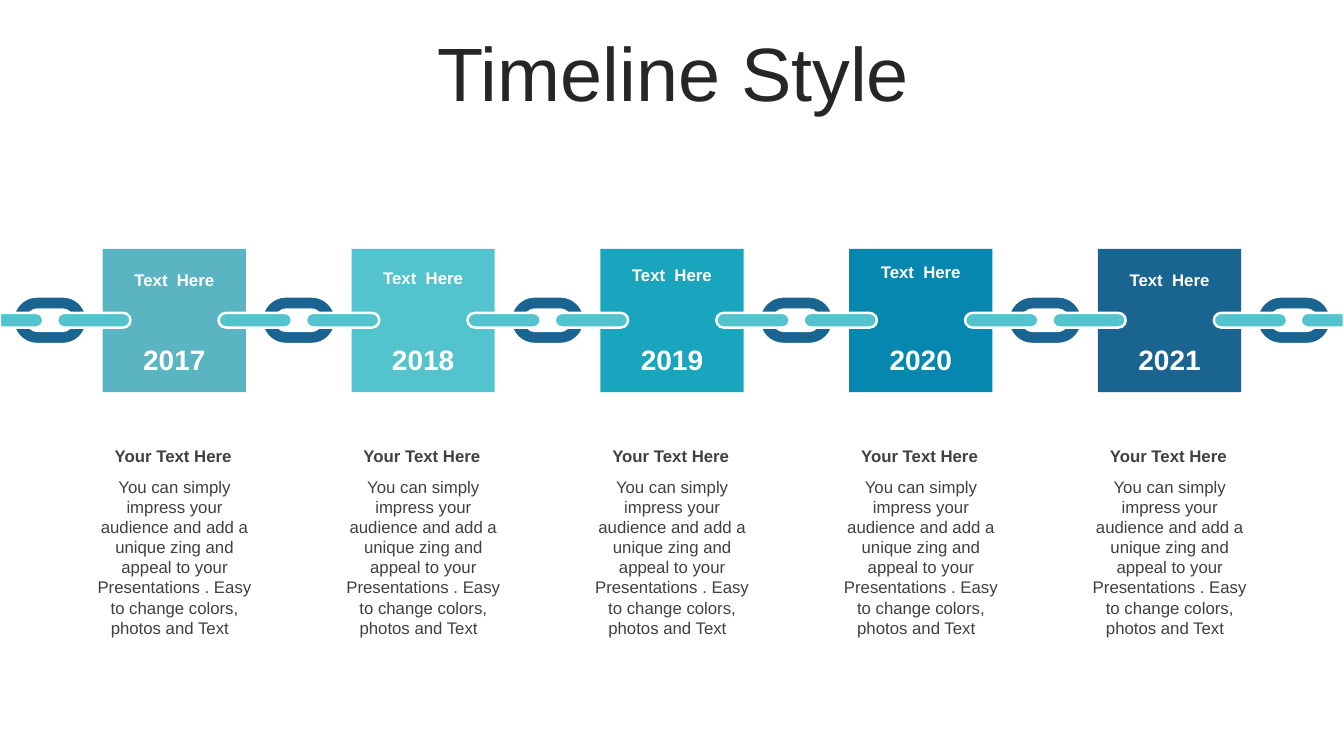
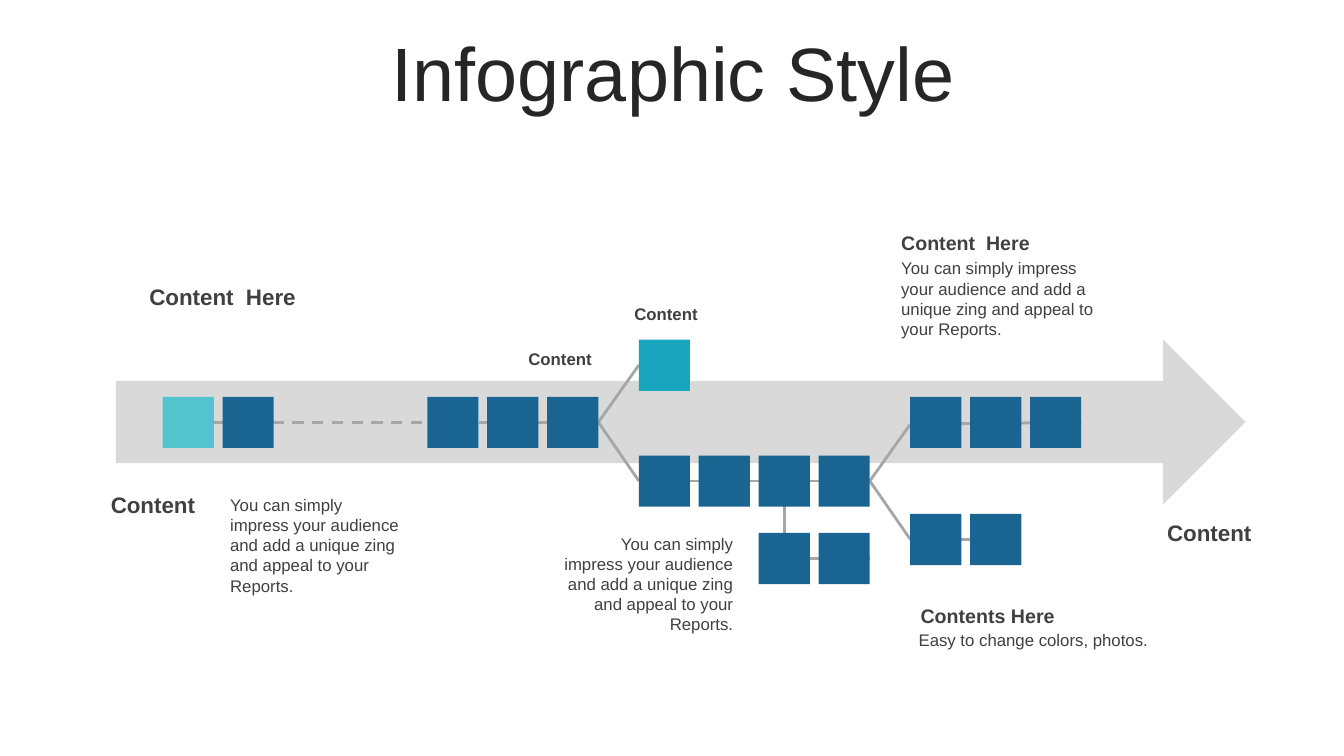
import pptx
import pptx.dml.color
import pptx.enum.dml
import pptx.enum.shapes
import pptx.enum.text
import pptx.oxml.ns
import pptx.util
from lxml import etree

Cm = pptx.util.Cm
Pt = pptx.util.Pt
RGB = pptx.dml.color.RGBColor
KIND = pptx.enum.shapes.MSO_SHAPE
ALIGN = pptx.enum.text.PP_ALIGN
DASH = pptx.enum.dml.MSO_LINE.DASH
tag = pptx.oxml.ns.qn

# Colours and font
FONT = "Arial"
DARK = RGB(0x26, 0x26, 0x26)
INK = RGB(0x40, 0x40, 0x40)
WHITE = RGB(0xFF, 0xFF, 0xFF)
PALE = RGB(0xD9, 0xD9, 0xD9)
GREY = RGB(0xA6, 0xA6, 0xA6)
MIST = RGB(0x5A, 0xB4, 0xC1)
AQUA = RGB(0x53, 0xC3, 0xCD)
TEAL = RGB(0x19, 0xA5, 0xBE)
AZURE = RGB(0x05, 0x87, 0xAF)
BLUE = RGB(0x19, 0x64, 0x91)


def write(shape, text, size=12, bold=False, color=INK, align=ALIGN.CENTER, space=None):
    frame = shape.text_frame
    frame.word_wrap = True
    frame.auto_size = pptx.enum.text.MSO_AUTO_SIZE.NONE
    para = frame.paragraphs[0]
    para.alignment = align
    para.line_spacing = space
    run = para.add_run()
    run.text = text
    run.font.name = FONT
    run.font.size = Pt(size)
    run.font.bold = bold
    run.font.color.rgb = color


def paint(shape, fill, edge=None):
    shape.shadow.inherit = False
    shape.fill.solid()
    shape.fill.fore_color.rgb = fill
    if edge is None:
        shape.line.fill.background()
    else:
        shape.line.color.rgb = edge
        shape.line.width = Pt(1.75)


# Deck, with the title placed once on the layout
WIDE = 33.87
deck = pptx.Presentation()
deck.slide_width, deck.slide_height = Cm(WIDE), Cm(19.05)
plan = deck.slide_layouts[5]
head = plan.placeholders[0]
head.left, head.top, head.width, head.height = Cm(0.89), Cm(0.94), Cm(32.16), Cm(2.01)

slides = []
for name in ("Timeline Style", "Infographic Style"):
    slide = deck.slides.add_slide(plan)
    write(slide.shapes.title, name, size=54, color=DARK, space=0.9)
    slides.append(slide)
time, info = (slide.shapes for slide in slides)

# Timeline: cards
STEP = 6.27
cards = [
    ("2017", MIST, 6.68),
    ("2018", AQUA, 6.62),
    ("2019", TEAL, 6.55),
    ("2020", AZURE, 6.48),
    ("2021", BLUE, 6.68),
]
story = ("You can simply impress your audience and add a unique zing and appeal "
         "to your Presentations . Easy to change colors, photos and Text  ")
for i, (year, color, top) in enumerate(cards):
    shift = i * STEP
    card = time.add_shape(KIND.RECTANGLE, Cm(2.59 + shift), Cm(6.27), Cm(3.61), Cm(3.61))
    paint(card, color)
    for text, x, y, w, h, style in (
        (year, 2.92, 8.5, 2.95, 1.12, dict(size=20, bold=True, color=WHITE)),
        ("Text  Here", 2.92, top, 2.95, 0.76, dict(bold=True, color=WHITE)),
        ("Your Text Here", 2.13, 11.1, 4.47, 0.76, dict(bold=True)),
        (story, 2.15, 11.88, 4.5, 4.37, {}),
    ):
        box = time.add_textbox(Cm(x + shift), Cm(y), Cm(w), Cm(h))
        write(box, text, **style)

# Timeline: outlines of the rings, and of the half bars at the slide edges
MID = 8.07
BAR = 0.37
rings = [1.26 + i * STEP for i in range(6)]
forms = []
for ring in rings:
    loops = []
    for half, r in ((0.33, 0.6), (0.31, 0.27)):
        a, b = ring - half, ring + half
        loops.append([(a, MID - r), (b, MID - r), (b + r, MID), (b, MID + r),
                      (a, MID + r), (a - r, MID), (a, MID - r)])
    forms.append((BLUE, [loops[0], loops[1][::-1]]))
r = BAR / 2
stub = [(0, MID - r), (1.09 - r, MID - r), (1.09, MID), (1.09 - r, MID + r), (0, MID + r)]
forms.append((AQUA, [stub]))
forms.append((AQUA, [[(WIDE - x, y) for x, y in stub]]))

# Timeline: draw the outlines, with each slanted side bent into a quarter circle
BEND = 0.55
for color, loops in forms:
    pen = None
    for loop in loops:
        spots = [(Cm(x), Cm(y)) for x, y in loop]
        if pen is None:
            pen = time.build_freeform(*spots[0])
        else:
            pen.move_to(*spots[0])
        pen.add_line_segments(spots[1:], close=True)
    form = pen.convert_to_shape()
    paint(form, color, WHITE)
    last = None
    for dot in list(form._element.iter(tag("a:pt"))):
        spot = int(dot.get("x")), int(dot.get("y"))
        side = dot.getparent()
        if side.tag == tag("a:lnTo") and spot[0] != last[0] and spot[1] != last[1]:
            near, far = sorted((last, spot), key=lambda p: abs(p[1] - form.height / 2))
            curve = etree.Element(tag("a:cubicBezTo"))
            for x, y in (last, spot):
                etree.SubElement(curve, tag("a:pt"),
                                 x=str(round(x + BEND * (near[0] - x))),
                                 y=str(round(y + BEND * (far[1] - y))))
            side.getparent().replace(side, curve)
            curve.append(dot)
        last = spot

# Timeline: full bars on both sides of each card
for left, right in zip(rings, rings[1:]):
    for x in (left + 0.18, right - 2.02):
        bar = time.add_shape(KIND.ROUNDED_RECTANGLE, Cm(x), Cm(MID - r), Cm(1.85), Cm(BAR))
        bar.adjustments[0] = 0.5
        paint(bar, AQUA, WHITE)

# Infographic: arrow
arrow = info.add_shape(KIND.RIGHT_ARROW, Cm(2.92), Cm(8.56), Cm(28.47), Cm(4.15))
paint(arrow, PALE)

# Infographic: lines
lines = [
    (22.94, 10.69, 27.25, 10.64),
    (19.12, 14.07, 21.92, 14.07),
    (16.1, 12.12, 21.92, 12.12),
    (12.06, 10.64, 15.08, 10.64),
    (5.38, 10.64, 10.77, 10.64),
    (15.08, 10.64, 16.1, 9.2),
    (15.08, 10.64, 16.1, 12.12),
    (19.76, 12.76, 19.76, 13.43),
    (22.94, 13.59, 25.73, 13.59),
    (21.92, 12.12, 22.94, 10.69),
    (21.92, 12.12, 22.94, 13.59),
]
for i, ends in enumerate(lines):
    line = info.add_connector(pptx.enum.shapes.MSO_CONNECTOR.STRAIGHT, *map(Cm, ends))
    line.line.color.rgb = GREY
    line.line.width = Pt(2)
    if i == 4:
        line.line.dash_style = DASH
    etree.SubElement(line._element.spPr, tag("a:effectLst"))

# Infographic: rows of tiles
TILE = 1.29
GAP = 0.22
rows = [
    (4.1, 10, [AQUA, BLUE]),
    (10.77, 10, [BLUE] * 3),
    (16.1, 8.56, [TEAL]),
    (16.1, 11.48, [BLUE] * 4),
    (22.94, 10, [BLUE] * 3),
    (19.12, 13.43, [BLUE] * 2),
    (22.94, 12.95, [BLUE] * 2),
]
for x, y, colors in rows:
    for i, color in enumerate(colors):
        tile = info.add_shape(KIND.RECTANGLE, Cm(x + i * (TILE + GAP)), Cm(y), Cm(TILE), Cm(TILE))
        paint(tile, color)

# Infographic: captions
note = ("You can simply impress your audience and add a unique zing "
        "and appeal to your Reports.")
L, C, R = ALIGN.LEFT, ALIGN.CENTER, ALIGN.RIGHT
for text, x, y, w, h, size, bold, align in (
    ("Content  Here", 22.46, 5.7, 5.72, 0.86, 14, True, L),
    (note, 22.46, 6.38, 5.72, 2.31, 12, False, L),
    ("Content  Here", 3.5, 7.01, 4.22, 0.94, 16, True, C),
    ("Content", 2.38, 12.24, 2.95, 0.94, 16, True, C),
    ("Content", 29, 12.95, 2.95, 0.94, 16, True, C),
    (note, 5.55, 12.34, 4.83, 2.82, 12, False, L),
    (note, 13.9, 13.32, 4.83, 2.82, 12, False, R),
    ("Content", 15.31, 7.54, 2.95, 0.76, 12, True, C),
    ("Content", 12.64, 8.66, 2.95, 0.76, 12, True, C),
    ("Easy to change colors, photos.", 22.9, 15.75, 6.53, 0.76, 12, False, L),
    ("Contents Here", 22.95, 15.09, 6.5, 0.86, 14, True, L),
):
    box = info.add_textbox(Cm(x), Cm(y), Cm(w), Cm(h))
    write(box, text, size=size, bold=bold, align=align)

deck.save("out.pptx")
